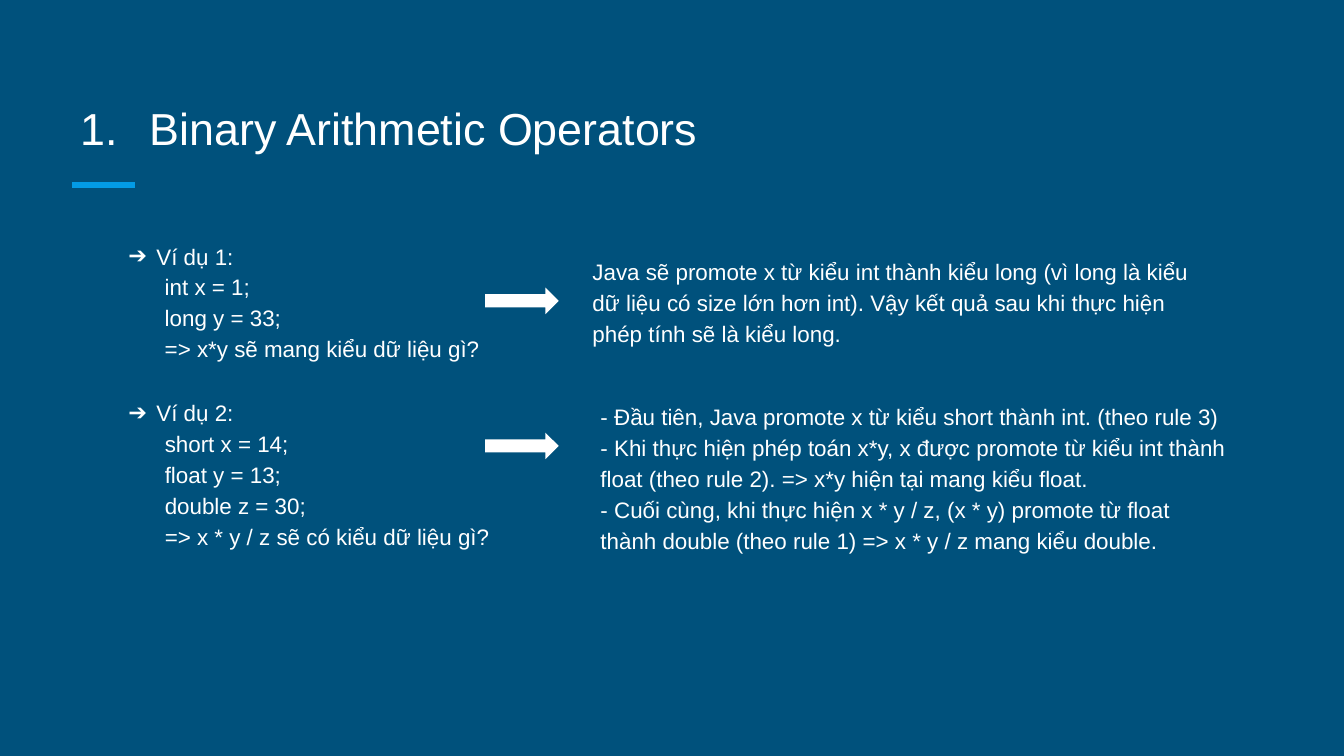
"""Build the slide on binary arithmetic operators with two worked examples."""
from lxml import etree
from pptx import Presentation
from pptx.dml.color import RGBColor
from pptx.enum import shapes, text
from pptx.oxml.ns import qn
from pptx.util import Pt


def color(hex_string):
    return RGBColor.from_string(hex_string)


def write(shape, lines, size=12, anchor=text.MSO_ANCHOR.MIDDLE, bullet=None,
          hanging=(0, 0), margin=0):
    frame = shape.text_frame
    frame.word_wrap = True
    frame.auto_size = text.MSO_AUTO_SIZE.NONE
    frame.vertical_anchor = anchor
    frame.margin_left = frame.margin_right = Pt(7.2)
    frame.margin_top = frame.margin_bottom = Pt(7.2)
    frame.text = "\n".join(lines)
    for index, paragraph in enumerate(frame.paragraphs):
        paragraph.alignment = text.PP_ALIGN.LEFT
        paragraph.line_spacing = 1.15
        paragraph.space_before = paragraph.space_after = Pt(0)
        font = paragraph.runs[0].font
        font.name, font.size = "Arial", Pt(size)
        font.color.rgb = color("FFFFFF")
        bulleted = bullet and index == 0
        left, indent = hanging if bulleted else (margin, 0)
        properties = paragraph._p.get_or_add_pPr()
        properties.set("marL", str(Pt(left)))
        properties.set("indent", str(Pt(indent)))
        if bulleted:
            bullet_color = etree.SubElement(properties, qn("a:buClr"))
            etree.SubElement(bullet_color, qn("a:srgbClr"), val="FFFFFF")
            etree.SubElement(properties, qn("a:buFont"), typeface="Arial")
            tag, name, value = bullet
            etree.SubElement(properties, qn(tag), {name: value})


presentation = Presentation()
presentation.slide_width, presentation.slide_height = Pt(720), Pt(405)
slide = presentation.slides.add_slide(presentation.slide_layouts[5])
slide.background.fill.solid()
slide.background.fill.fore_color.rgb = color("00517C")

accent = slide.shapes.add_connector(
    shapes.MSO_CONNECTOR.STRAIGHT, Pt(38.7), Pt(99.2), Pt(72.2), Pt(99.2))
accent.line.color.rgb = color("039BE5")
accent.line.width = Pt(3)
etree.SubElement(accent._element.spPr, qn("a:effectLst"))

title = slide.shapes.title
title.left, title.top, title.width, title.height = Pt(30), Pt(36), Pt(659), Pt(54)
write(title, ["Binary Arithmetic Operators"], size=24, anchor=text.MSO_ANCHOR.BOTTOM,
      bullet=("a:buAutoNum", "type", "arabicPeriod"), hanging=(43, -36.9))

examples = [
    (119.5, (216, 83), (310.3, 338.4, 83), 154.1,
     ["Ví dụ 1:", "int x = 1;", "long y = 33;", "=> x*y sẽ mang kiểu dữ liệu gì?"],
     ["Java sẽ promote x từ kiểu int thành kiểu long (vì long là kiểu dữ liệu có size "
      "lớn hơn int). Vậy kết quả sau khi thực hiện phép tính sẽ là kiểu long."]),
    (198, (226.8, 110.2), (314.6, 350, 114.5), 231.8,
     ["Ví dụ 2:", "short x = 14;", "float y = 13;", "double z = 30;",
      "=> x * y / z sẽ có kiểu dữ liệu gì?"],
     ["- Đầu tiên, Java promote x từ kiểu short thành int. (theo rule 3)",
      "- Khi thực hiện phép toán x*y, x được promote từ kiểu int thành float "
      "(theo rule 2). => x*y hiện tại mang kiểu float.",
      "- Cuối cùng, khi thực hiện x * y / z, (x * y) promote từ float thành double "
      "(theo rule 1) => x * y / z mang kiểu double."]),
]
for top, question_size, answer_box, arrow_top, question, answer in examples:
    width, height = question_size
    question_shape = slide.shapes.add_textbox(Pt(49.7), Pt(top), Pt(width), Pt(height))
    write(question_shape, question, bullet=("a:buChar", "char", "➔"),
          hanging=(27, -15), margin=31.5)

    left, width, height = answer_box
    answer_shape = slide.shapes.add_textbox(Pt(left), Pt(top), Pt(width), Pt(height))
    write(answer_shape, answer)

    arrow = slide.shapes.add_shape(
        shapes.MSO_SHAPE.RIGHT_ARROW, Pt(259.9), Pt(arrow_top), Pt(39.4), Pt(14.2))
    arrow.shadow.inherit = False
    arrow.fill.solid()
    arrow.fill.fore_color.rgb = color("FFFFFF")
    arrow.line.fill.background()

presentation.save("out.pptx")
